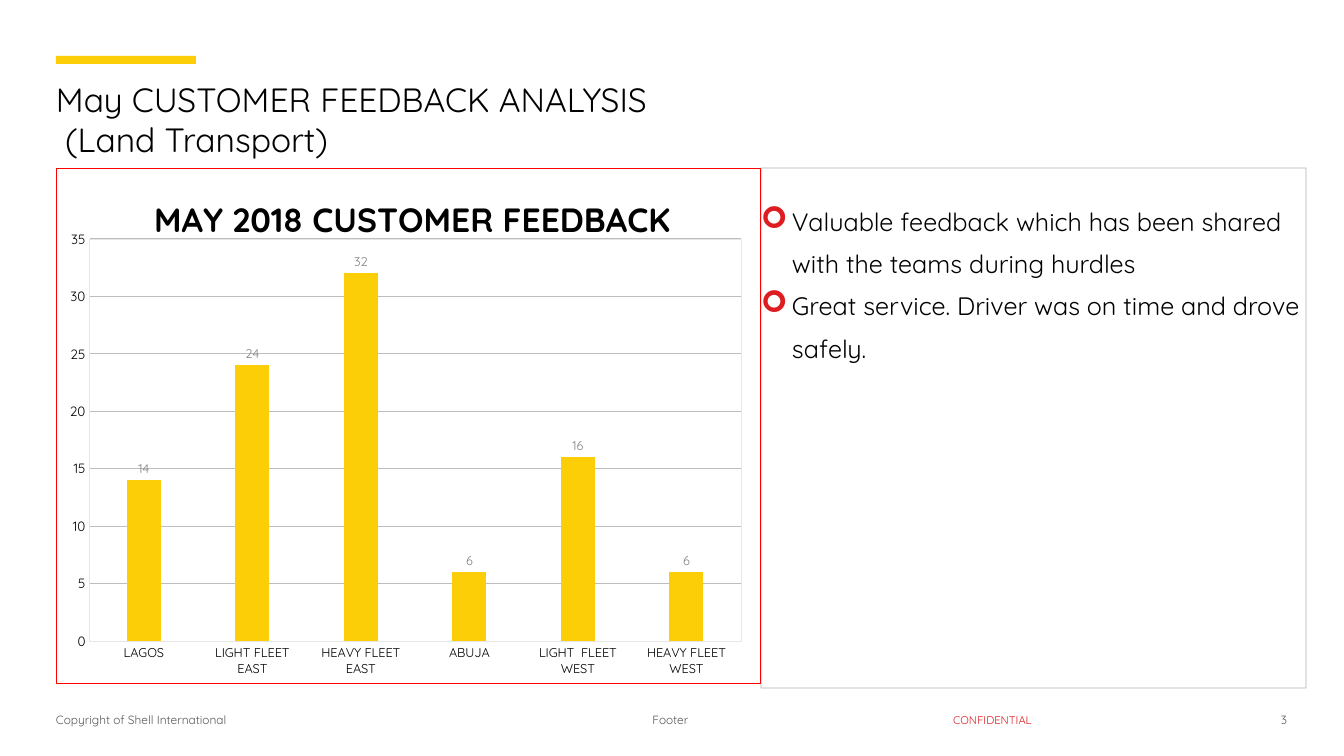
from dataclasses import dataclass

from lxml.etree import SubElement
from pptx import Presentation
from pptx.chart.data import CategoryChartData
from pptx.dml.color import RGBColor
from pptx.enum.chart import XL_CHART_TYPE, XL_LABEL_POSITION, XL_TICK_MARK
from pptx.enum.shapes import MSO_SHAPE
from pptx.enum.text import MSO_ANCHOR, PP_ALIGN
from pptx.oxml import parse_xml
from pptx.oxml.ns import nsdecls, qn
from pptx.util import Emu, Pt

PX = 914400 / 100.8
FONT = "Quicksand"
YELLOW = RGBColor(0xFB, 0xCE, 0x07)
RED = RGBColor(0xDD, 0x1D, 0x21)
BORDER_RED = RGBColor(0xFF, 0x00, 0x00)
BLACK = RGBColor(0, 0, 0)
WHITE = RGBColor(0xFF, 0xFF, 0xFF)
DARK_GREY = RGBColor(0x59, 0x59, 0x59)
LABEL_GREY = RGBColor(0x82, 0x82, 0x82)
PANEL_GREY = RGBColor(0xA6, 0xA6, 0xA6)
GRID_GREY = RGBColor(0xBD, 0xBD, 0xBD)
AXIS_GREY = RGBColor(0xE6, 0xE6, 0xE6)


@dataclass
class FooterItem:
    text: str
    box: tuple[int, int, int, int]
    size: float = 8.5
    color: RGBColor = DARK_GREY
    align: PP_ALIGN = PP_ALIGN.LEFT


FOOTER = [
    FooterItem("Copyright of Shell International", (56, 713, 370, 26)),
    FooterItem("Footer", (427, 713, 487, 26), align=PP_ALIGN.CENTER),
    FooterItem("CONFIDENTIAL", (933, 713, 119, 19), 8, RED, PP_ALIGN.CENTER),
    FooterItem("3", (1248, 713, 39, 26), align=PP_ALIGN.RIGHT),
]
COMMENTS = [
    "Valuable feedback which has been shared with the teams during hurdles",
    "Great service. Driver was on time and drove safely.",
]
FEEDBACK = {
    "LAGOS": 14,
    "LIGHT FLEET EAST": 24,
    "HEAVY FLEET EAST": 32,
    "ABUJA": 6,
    "LIGHT  FLEET WEST": 16,
    "HEAVY FLEET WEST": 6,
}


def px(n: float) -> Emu:
    return Emu(round(n * PX))


def place(box: tuple[int, int, int, int]) -> list[Emu]:
    return [px(n) for n in box]


def style(font, *, size: float, color: RGBColor = BLACK, bold: bool = False) -> None:
    font.name, font.size, font.bold = FONT, Pt(size), bold
    font.color.rgb = color


def set_frame(tf, top: int = 0) -> None:
    tf.word_wrap = True
    tf.vertical_anchor = MSO_ANCHOR.TOP
    tf.margin_left = tf.margin_right = tf.margin_bottom = 0
    tf.margin_top = px(top)


def write(p, text: str, *, size: float, color: RGBColor = BLACK,
          align: PP_ALIGN = PP_ALIGN.LEFT, bold: bool = False) -> None:
    p.text, p.alignment = text, align
    for r in p.runs:
        style(r.font, size=size, color=color, bold=bold)


def add_rect(s, box: tuple[int, int, int, int], fill: RGBColor):
    sp = s.shapes.add_shape(MSO_SHAPE.RECTANGLE, *place(box))
    sp.shadow.inherit = False
    sp.fill.solid()
    sp.fill.fore_color.rgb = fill
    sp.line.fill.background()
    return sp


def add_bullet(p, indent: int) -> None:
    pPr = p._p.get_or_add_pPr()
    pPr.set("marL", str(px(indent)))
    pPr.set("indent", str(-px(indent)))
    SubElement(SubElement(pPr, qn("a:buClr")), qn("a:srgbClr"), val=str(RED))
    SubElement(pPr, qn("a:buSzPct"), val="120000")
    SubElement(pPr, qn("a:buFont"), typeface="Wingdings")
    SubElement(pPr, qn("a:buChar"), char="➢")


def outline(color: RGBColor, width: float):
    return parse_xml(
        f'<c:spPr {nsdecls("c", "a")}><a:noFill/><a:ln w="{Pt(width)}"><a:solidFill>'
        f'<a:srgbClr val="{color}"/></a:solidFill></a:ln></c:spPr>')


def layout(**values: object):
    parts = "".join(f'<c:{k} val="{v}"/>' for k, v in values.items())
    return parse_xml(
        f'<c:layout {nsdecls("c")}><c:manualLayout>{parts}</c:manualLayout></c:layout>')


def add_panel(s) -> None:
    sp = add_rect(s, (761, 168, 545, 520), WHITE)
    sp.line.color.rgb, sp.line.width = PANEL_GREY, Pt(0.5)
    rgb = sp.line._ln.find(".//" + qn("a:srgbClr"))
    SubElement(rgb, qn("a:alpha"), val="85000")
    tf = sp.text_frame
    set_frame(tf, top=26)
    for i, comment in enumerate(COMMENTS):
        p = tf.add_paragraph() if i else tf.paragraphs[0]
        add_bullet(p, 31)
        p.line_spacing = 1.4
        write(p, comment, size=18)


def add_feedback_chart(s) -> None:
    data = CategoryChartData()
    data.categories = list(FEEDBACK)
    data.add_series("Series 1", list(FEEDBACK.values()))
    chart = s.shapes.add_chart(XL_CHART_TYPE.COLUMN_CLUSTERED,
                               *place((56, 168, 705, 516)), data).chart
    style(chart.font, size=10, color=DARK_GREY)
    chart.has_legend = False
    write(chart.chart_title.text_frame.paragraphs[0], "MAY 2018 CUSTOMER FEEDBACK",
          size=24, bold=True, align=PP_ALIGN.CENTER)

    # Columns and their values
    plot = chart.plots[0]
    plot.gap_width, plot.overlap, plot.vary_by_categories = 219, -27, False
    fill = plot.series[0].format.fill
    fill.solid()
    fill.fore_color.rgb = YELLOW
    plot.has_data_labels = True
    labels = plot.data_labels
    labels.show_value, labels.position = True, XL_LABEL_POSITION.OUTSIDE_END
    style(labels.font, size=9, color=LABEL_GREY)

    # Axes
    for axis, size in ((chart.category_axis, 9.1), (chart.value_axis, 9.6)):
        axis.major_tick_mark = axis.minor_tick_mark = XL_TICK_MARK.NONE
        style(axis.tick_labels.font, size=size)
    chart.category_axis.format.line.color.rgb = AXIS_GREY
    chart.category_axis.format.line.width = Pt(0.75)
    value = chart.value_axis
    value.minimum_scale, value.maximum_scale, value.major_unit = 0, 35, 5
    value.format.line.fill.background()
    value.has_major_gridlines = True
    value.major_gridlines.format.line.color.rgb = GRID_GREY
    value.major_gridlines.format.line.width = Pt(0.75)

    # Borders and fixed positions
    space = chart._chartSpace
    title, area = space.xpath("c:chart/c:title")[0], space.xpath("c:chart/c:plotArea")[0]
    for part in (title, area):
        for old in part.findall(qn("c:layout")):
            part.remove(old)
    title.find(qn("c:tx")).addnext(layout(xMode="edge", yMode="edge", x=0.13, y=0.04))
    area.insert(0, layout(layoutTarget="inner", xMode="edge", yMode="edge",
                          x=0.047, y=0.137, w=0.925, h=0.781))
    area.append(outline(AXIS_GREY, 0.25))
    space.find(qn("c:chart")).addnext(outline(BORDER_RED, 0.75))


def main() -> None:
    prs = Presentation()
    prs.slide_width, prs.slide_height = px(1344), px(756)
    s = prs.slides.add_slide(prs.slide_layouts[5])

    # Accent bar and title
    add_rect(s, (56, 56, 140, 8), YELLOW)
    title = s.shapes.title
    title.left, title.top, title.width, title.height = place((56, 79, 1232, 83))
    set_frame(title.text_frame)
    write(title.text_frame.paragraphs[0],
          "May CUSTOMER FEEDBACK ANALYSIS\v (Land Transport)", size=24)

    # Comments and chart
    add_panel(s)
    add_feedback_chart(s)

    # Footer
    for item in FOOTER:
        tf = s.shapes.add_textbox(*place(item.box)).text_frame
        set_frame(tf)
        write(tf.paragraphs[0], item.text, size=item.size, color=item.color,
              align=item.align)

    prs.save("out.pptx")


if __name__ == "__main__":
    main()
